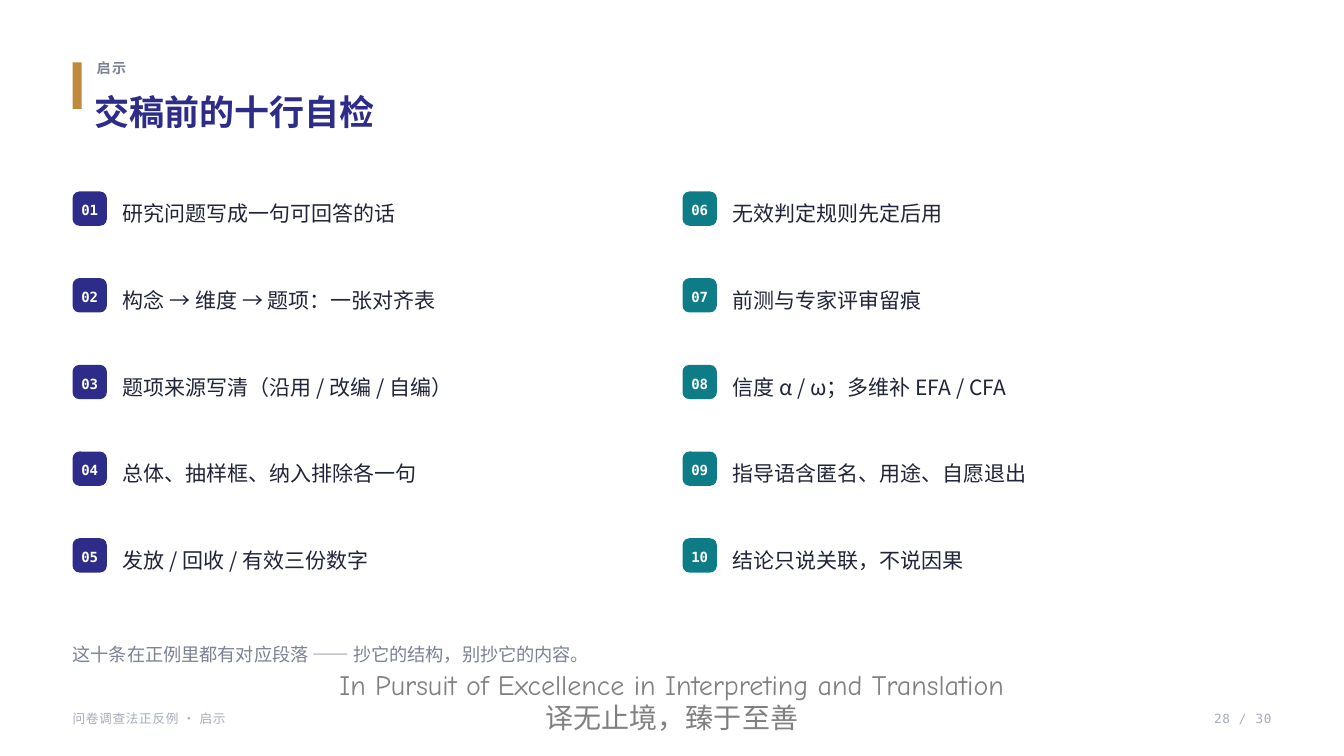
from pptx import Presentation
from pptx.dml.color import RGBColor
from pptx.enum.shapes import MSO_SHAPE
from pptx.enum.text import MSO_ANCHOR, PP_ALIGN
from pptx.oxml.ns import qn
from pptx.util import Inches, Pt

WIDTH, HEIGHT = 13.33, 7.5
SANS, MONO, HAND = "Noto Sans CJK SC", "DejaVu Sans Mono", "Comic Neue"
INDIGO, TEAL, GOLD, WHITE = "2D2D89", "0E7C86", "C08A3E", "FFFFFF"
INK, SLATE, MIST, GRAY = "1F2438", "7A8293", "A5ACBA", "808080"

KICKER = "启示"
TITLE = "交稿前的十行自检"
COLUMNS = [
    (INDIGO, [
        "研究问题写成一句可回答的话",
        "构念 → 维度 → 题项：一张对齐表",
        "题项来源写清（沿用 / 改编 / 自编）",
        "总体、抽样框、纳入排除各一句",
        "发放 / 回收 / 有效三份数字",
    ]),
    (TEAL, [
        "无效判定规则先定后用",
        "前测与专家评审留痕",
        "信度 α / ω；多维补 EFA / CFA",
        "指导语含匿名、用途、自愿退出",
        "结论只说关联，不说因果",
    ]),
]
CLOSING = "这十条在正例里都有对应段落 —— 抄它的结构，别抄它的内容。"
FOOTER = "问卷调查法正反例 · 启示"
PAGE_NUMBER = "28 / 30"
MOTTO = [
    ("In Pursuit of Excellence in Interpreting and Translation", HAND),
    ("译无止境，臻于至善", SANS),
]

MARGIN, GRID_TOP = 0.72, 1.9
COLUMN_STEP, ROW_STEP = 6.05, 0.86
BADGE, LABEL_INDENT, LABEL_DROP = 0.34, 0.5, 0.03


def color(value):
    return RGBColor.from_string(value)


def write(para, text, size, tint, font=SANS, bold=False, spacing=None,
          align=PP_ALIGN.LEFT, tracking=0):
    para.text = text
    para.alignment = align
    if spacing:
        para.line_spacing = spacing
    for span in para.runs:
        span.font.size = Pt(size)
        span.font.bold = bold
        span.font.name = font
        span.font.color.rgb = color(tint)
        properties = span.font._element
        east_asian = properties.makeelement(qn("a:ea"), {"typeface": font})
        properties.find(qn("a:latin")).addnext(east_asian)
        if tracking:
            properties.set("spc", str(round(tracking * 100)))


def clear_margins(frame):
    frame.margin_left = frame.margin_right = 0
    frame.margin_top = frame.margin_bottom = 0


def add_text(page, place, text, size, tint, **style):
    box = page.shapes.add_textbox(*map(Inches, place))
    frame = box.text_frame
    frame.word_wrap = True
    clear_margins(frame)
    write(frame.paragraphs[0], text, size, tint, **style)


def add_block(page, kind, place, fill):
    shape = page.shapes.add_shape(kind, *map(Inches, place))
    shape.shadow.inherit = False
    shape.fill.solid()
    shape.fill.fore_color.rgb = color(fill)
    shape.line.fill.background()
    return shape


def add_motto(page):
    box = page.shapes.add_textbox(0, Inches(6.57), Inches(WIDTH), Inches(0.77))
    frame = box.text_frame
    frame.word_wrap = True
    for index, (line, font) in enumerate(MOTTO):
        para = frame.add_paragraph() if index else frame.paragraphs[0]
        write(para, line, 20, GRAY, font=font, align=PP_ALIGN.CENTER)


def add_check(page, number, text, left, top, fill):
    badge = add_block(page, MSO_SHAPE.ROUNDED_RECTANGLE,
                      (left, top, BADGE, BADGE), fill)
    badge.adjustments[0] = 0.2
    frame = badge.text_frame
    frame.vertical_anchor = MSO_ANCHOR.MIDDLE
    clear_margins(frame)
    write(frame.paragraphs[0], f"{number:02d}", 10, WHITE, font=MONO,
          bold=True, spacing=1.2, align=PP_ALIGN.CENTER)
    add_text(page, (left + LABEL_INDENT, top + LABEL_DROP, 5.5, 0.4),
             text, 15, INK, spacing=1.25)


def main():
    """Build the ten-point checklist slide and save it."""
    deck = Presentation()
    deck.slide_width, deck.slide_height = Inches(WIDTH), Inches(HEIGHT)
    page = deck.slides.add_slide(deck.slide_layouts[6])

    add_motto(page)
    add_block(page, MSO_SHAPE.RECTANGLE, (MARGIN, 0.62, 0.09, 0.46), GOLD)
    add_text(page, (0.96, 0.56, 11, 0.26), KICKER, 10, SLATE,
             bold=True, spacing=1.2, tracking=1.1)
    add_text(page, (0.94, 0.86, 11.4, 0.66), TITLE, 25, INDIGO,
             bold=True, spacing=1.1)

    for column, (fill, checks) in enumerate(COLUMNS):
        for row, text in enumerate(checks):
            add_check(page, column * len(checks) + row + 1, text,
                      MARGIN + column * COLUMN_STEP,
                      GRID_TOP + row * ROW_STEP, fill)

    add_text(page, (MARGIN, 6.3, 11.9, 0.4), CLOSING, 13, SLATE, spacing=1.4)
    add_text(page, (MARGIN, 7.02, 9, 0.24), FOOTER, 9, MIST,
             spacing=1.2, tracking=0.5)
    add_text(page, (9, 7.02, 3.61, 0.24), PAGE_NUMBER, 9, MIST, font=MONO,
             spacing=1.2, align=PP_ALIGN.RIGHT, tracking=0.5)
    deck.save("out.pptx")


if __name__ == "__main__":
    main()
